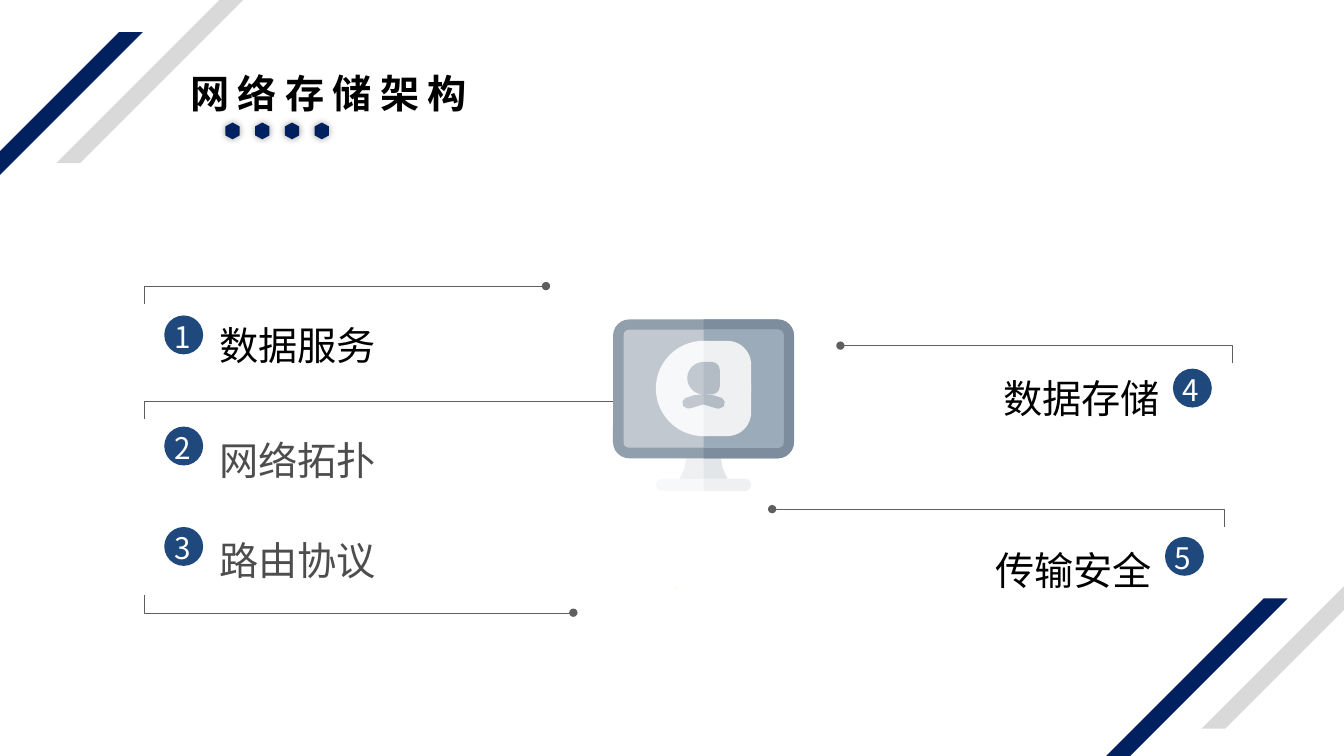
from dataclasses import dataclass

from lxml.etree import SubElement
from pptx import Presentation
from pptx.dml.color import RGBColor
from pptx.enum.shapes import MSO_SHAPE
from pptx.enum.text import MSO_ANCHOR, MSO_AUTO_SIZE, PP_ALIGN
from pptx.oxml.ns import qn
from pptx.util import Cm, Pt


@dataclass(frozen=True)
class Theme:
    font: str = "Noto Sans CJK SC"
    navy: str = "002060"
    stripe: str = "D9D9D9"
    badge: str = "1F497D"
    line: str = "5F5F5F"
    speck: str = "FFCA00"
    black: str = "000000"
    gray: str = "4D4D4D"
    white: str = "FFFFFF"
    # Monitor colours: whole part, right half
    neck: tuple = ("EEF0F2", "E3E6E9")
    frame: tuple = ("919EAC", "7E8D9D")
    screen: tuple = ("C1C8D0", "9BABB9")
    pale: tuple = ("F7F8F9", "EEF0F2")
    person: tuple = ("C1C8D0", "B3BCC5")
    heading_size: float = 28
    number_size: float = 21.2


theme = Theme()
presentation = Presentation()
presentation.slide_width = Cm(33.87)
presentation.slide_height = Cm(19.05)
slide = presentation.slides.add_slide(presentation.slide_layouts[6])


def write_text(shape, text, size=theme.heading_size, color=theme.black, bold=False,
               align=PP_ALIGN.LEFT, anchor=MSO_ANCHOR.TOP, wrap=True,
               line_spacing=None, letter_spacing=None, margin=0):
    frame = shape.text_frame
    frame.word_wrap = wrap
    frame.vertical_anchor = anchor
    if margin is not None:
        frame.margin_left = frame.margin_right = Cm(margin)
        frame.margin_top = frame.margin_bottom = Cm(margin)
    paragraph = frame.paragraphs[0]
    paragraph.alignment = align
    if line_spacing:
        paragraph.line_spacing = line_spacing
    run = paragraph.add_run()
    run.text = text
    run.font.size = Pt(size)
    run.font.bold = bold
    run.font.color.rgb = RGBColor.from_string(color)
    run.font.name = theme.font
    properties = run.font._element
    SubElement(properties, qn("a:ea")).set("typeface", theme.font)
    if letter_spacing:
        properties.set("spc", str(letter_spacing * 100))


def add_filled(color, preset=None, box=None, points=None):
    """Add a preset shape in a box, or a closed outline through points."""
    if preset is not None:
        shape = slide.shapes.add_shape(preset, *map(Cm, box))
    else:
        corners = [(Cm(x), Cm(y)) for x, y in points]
        builder = slide.shapes.build_freeform(*corners[0], scale=1.0)
        builder.add_line_segments(corners[1:], close=True)
        shape = builder.convert_to_shape()
    shape.shadow.inherit = False
    shape.fill.solid()
    shape.fill.fore_color.rgb = RGBColor.from_string(color)
    shape.line.fill.background()
    return shape


# Corner stripes
for left, top, color in [(-3.58, 0.81, theme.navy), (1.42, -2.47, theme.stripe),
                         (25.27, 15.08, theme.navy), (30.28, 11.78, theme.stripe)]:
    stripe = add_filled(color, MSO_SHAPE.PARALLELOGRAM, (left, top, 7.18, 6.58))
    stripe.adjustments[0] = 1

# Title with a row of hexagons
title = slide.shapes.add_textbox(Cm(4.54), Cm(1.63), Cm(7.77), Cm(1.45))
write_text(title, "网络存储架构", bold=True, wrap=False, letter_spacing=6, margin=None)
title.text_frame.auto_size = MSO_AUTO_SIZE.SHAPE_TO_FIT_TEXT

for index in range(4):
    hexagon = add_filled(theme.navy, MSO_SHAPE.HEXAGON, (5.65 + 0.75 * index, 3.12, 0.42, 0.36))
    hexagon.adjustments[0] = 0.27
    hexagon.rotation = 90
    effects = hexagon._element.spPr.find(qn("a:effectLst"))
    glow = SubElement(effects, qn("a:outerShdw"), blurRad=str(Pt(5)), algn="ctr", rotWithShape="0")
    glow_color = SubElement(glow, qn("a:srgbClr"), val=theme.black)
    SubElement(glow_color, qn("a:alpha"), val="40000")

# Tiny yellow speck below the monitor
add_filled(theme.speck, points=[(17.04, 14.81), (17.06, 14.83), (17.04, 14.83)])

# Bracket lines: corner x, line y, end x, height of the short leg
for corner, level, end, leg in [(31.05, 8.71, 21.18, 0.44), (30.84, 12.83, 19.46, 0.44),
                                (3.63, 7.21, 13.76, 0.44), (3.63, 10.11, 16.05, 0.44),
                                (3.63, 15.44, 14.45, -0.44)]:
    builder = slide.shapes.build_freeform(Cm(corner), Cm(level + leg), scale=1.0)
    builder.add_line_segments([(Cm(corner), Cm(level)), (Cm(end), Cm(level))], close=False)
    bracket = builder.convert_to_shape()
    bracket.shadow.inherit = False
    bracket.fill.background()
    bracket.line.color.rgb = RGBColor.from_string(theme.line)
    bracket.line.width = Pt(0.25)
    SubElement(bracket.line._get_or_add_ln(), qn("a:tailEnd"), type="oval")

# Topics with numbered badges: label box, badge corner
topics = [
    ("数据服务", theme.black, PP_ALIGN.LEFT, (5.53, 7.8, 6.76, 1.96), (4.14, 7.95)),
    ("网络拓扑", theme.gray, PP_ALIGN.LEFT, (5.53, 10.69, 6.76, 1.83), (4.14, 10.75)),
    ("路由协议", theme.gray, PP_ALIGN.LEFT, (5.53, 13.22, 6.76, 1.78), (4.14, 13.28)),
    ("数据存储", theme.black, PP_ALIGN.RIGHT, (23.36, 9.14, 5.87, 1.63), (29.56, 9.29)),
    ("传输安全", theme.black, PP_ALIGN.RIGHT, (23.16, 13.48, 5.87, 1.78), (29.36, 13.53)),
]
for number, (text, color, align, box, (left, top)) in enumerate(topics, start=1):
    label = slide.shapes.add_textbox(*map(Cm, box))
    write_text(label, text, color=color, align=align, line_spacing=1.25)
    add_filled(theme.badge, MSO_SHAPE.OVAL, (left, top, 0.98, 0.98))
    digit = slide.shapes.add_textbox(Cm(left - 0.1), Cm(top + 0.16), Cm(1.12), Cm(0.74))
    write_text(digit, str(number), size=theme.number_size, color=theme.white,
               align=PP_ALIGN.CENTER, anchor=MSO_ANCHOR.MIDDLE)

# Monitor: every part is mirrored on the axis, its right half is darker
axis = 17.73
# Right-hand profiles from top to bottom: distance from the axis, y
neck = [(0.41, 11.28), (0.41, 11.4), (0.48, 11.8), (0.65, 12.17)]
shoulders = [(0, 9.93), (0.24, 9.96), (0.46, 10.03), (0.53, 10.12),
             (0.51, 10.24), (0.41, 10.29), (0.33, 10.29), (0, 10.19)]
# Rounded parts: width, top, height, radius
monitor = [
    (theme.neck, neck, None),
    (theme.frame, None, (4.56, 8.05, 3.5, 0.41)),
    (theme.screen, None, (4.03, 8.31, 2.97, 0.13)),
    (theme.pale, None, (2.4, 12.07, 0.3, 0.15)),
    (theme.pale, None, (2.4, 8.59, 2.4, 1.2)),
    (theme.person, shoulders, None),
    (theme.person, None, (0.82, 9.12, 0.82, 0.41)),
]
for (whole, half), profile, rounded in monitor:
    if profile:
        right = [(axis + offset, y) for offset, y in profile]
        left = [(axis - offset, y) for offset, y in reversed(profile)]
        add_filled(whole, points=right + left)
        add_filled(half, points=[(axis, profile[0][1]), *right, (axis, profile[-1][1])])
        continue
    width, top, height, radius = rounded
    part = add_filled(whole, MSO_SHAPE.ROUNDED_RECTANGLE, (axis - width / 2, top, width, height))
    part.adjustments[0] = radius / min(width, height)
    # The half is laid flat, then turned so that its round corners face right
    depth = width / 2
    shade = add_filled(half, MSO_SHAPE.ROUND_2_SAME_RECTANGLE,
                       (axis + (depth - height) / 2, top + (height - depth) / 2, height, depth))
    shade.adjustments[0] = radius / min(height, depth)
    shade.rotation = 90

presentation.save("out.pptx")
